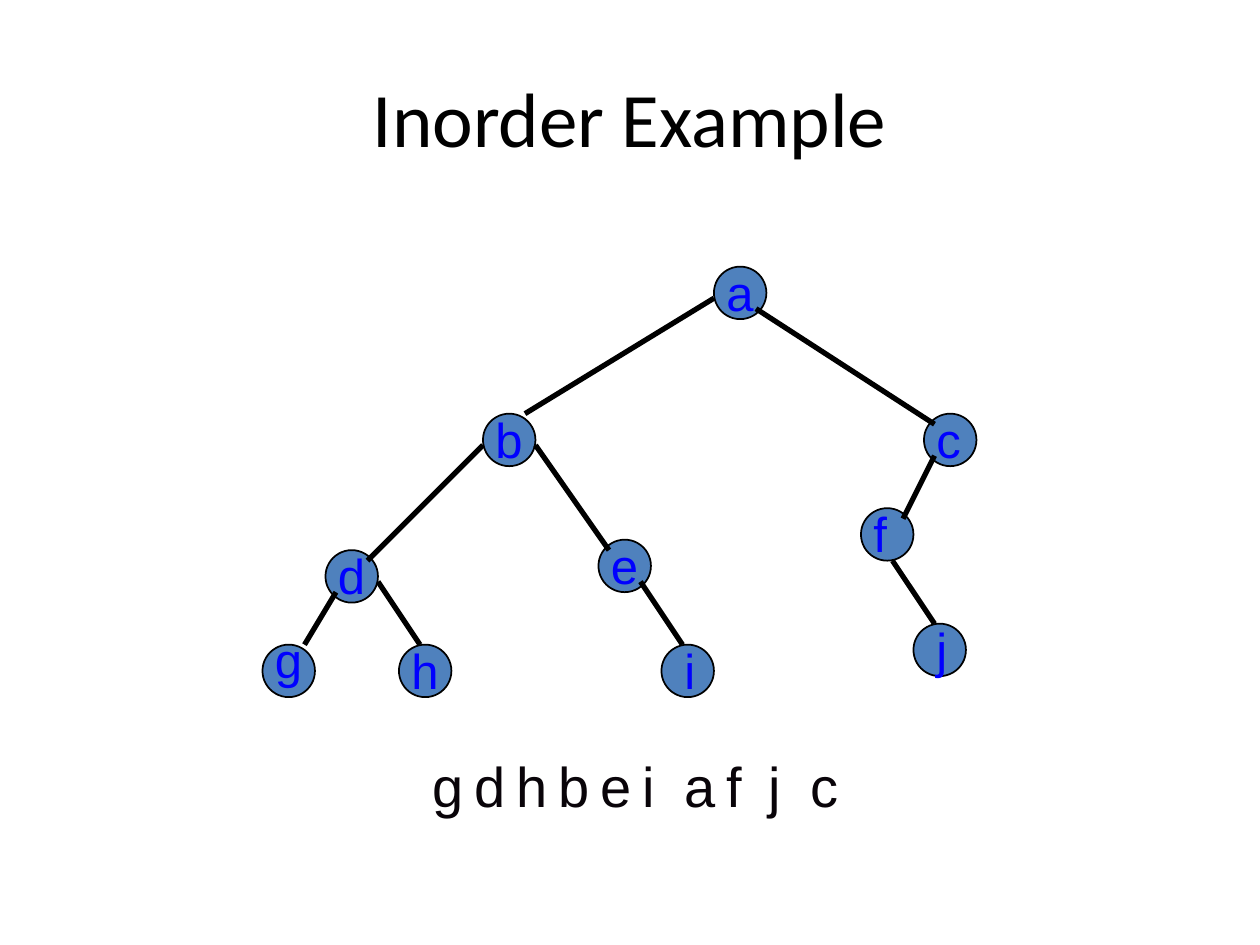
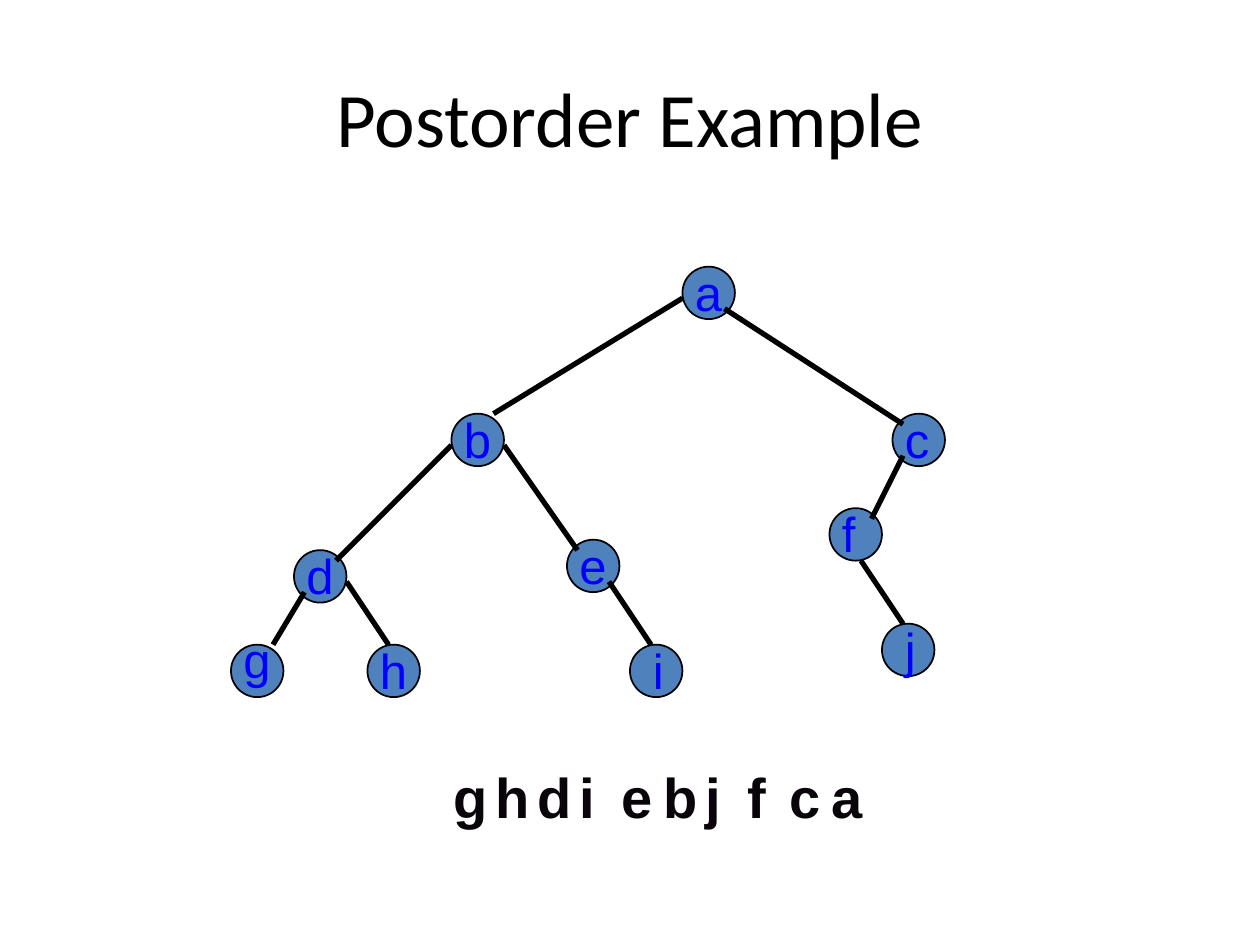
import pptx
import pptx.dml.color
import pptx.enum.shapes
import pptx.enum.text
import pptx.oxml
import pptx.oxml.ns
import pptx.util

COLUMNS, ROWS = 120, 90
SLIDE_WIDTH, SLIDE_HEIGHT = pptx.util.Inches(10), pptx.util.Inches(7.5)
TREE_TOP = 25.4
NODE_SIZE = 5
LETTER_STEP = 4

BLACK = "000000"
NODE_FILL = "4F81BD"
LABEL_COLOR = "0000FF"
LETTER_COLOR = "090409"

NODES = {
    "a": (43, 0), "b": (21, 14), "c": (63, 14), "d": (6, 27), "e": (32, 26),
    "f": (57, 23), "g": (0, 36), "h": (13, 36), "i": (38, 36), "j": (62, 34),
}
LABEL_SHIFTS = {"g": (0, -2), "i": (1, -1), "j": (1, -1)}
EDGES = [
    ("d", (1, 4), "g", (4, 0)),
    ("d", (5, 3), "h", (2, 0)),
    ("e", (4, 4), "i", (2, 0)),
    ("c", (1, 4), "f", (4, 1)),
    ("b", (0, 3), "d", (4, 1)),
    ("b", (5, 3), "e", (1, 1)),
    ("a", (0, 3), "b", (4, 0)),
    ("a", (4, 4), "c", (1, 1)),
    ("f", (3, 5), "j", (2, 0)),
]
TRAVERSALS = [
    {"title": "Inorder Example", "tree_left": 25, "order": "gdhbeiafjc",
     "order_at": (40, 71), "bold": False},
    {"title": "Postorder Example", "tree_left": 22, "order": "ghdiebjfca",
     "order_at": (42, 72), "bold": True},
]


def color(value):
    return pptx.dml.color.RGBColor.from_string(value)


def across(columns):
    return round(SLIDE_WIDTH * columns / COLUMNS)


def down(rows):
    return round(SLIDE_HEIGHT * rows / ROWS)


def box(left, top, width, height):
    return across(left), down(top), across(width), down(height)


def moved(point, shift):
    return point[0] + shift[0], point[1] + shift[1]


def add_text(shapes, text, place, size, font_color, font_name="Arial", bold=False):
    shape = shapes.add_textbox(*box(*place))
    frame = shape.text_frame
    frame.word_wrap = True
    run = frame.paragraphs[0].add_run()
    run.text = text
    run.font.name = font_name
    run.font.size = pptx.util.Pt(size)
    run.font.bold = bold
    run.font.color.rgb = color(font_color)
    return frame


def add_title(slide, text):
    frame = add_text(slide.shapes, text, (6, 3.6, 108, 15), 44, BLACK, "Calibri")
    frame.vertical_anchor = pptx.enum.text.MSO_ANCHOR.MIDDLE
    frame.paragraphs[0].alignment = pptx.enum.text.PP_ALIGN.CENTER


def add_letter(shapes, text, place, size, font_color, bold=False):
    frame = add_text(shapes, text, place, size, font_color, bold=bold)
    frame.auto_size = pptx.enum.text.MSO_AUTO_SIZE.SHAPE_TO_FIT_TEXT


def add_node(shapes, position):
    shape = shapes.add_shape(
        pptx.enum.shapes.MSO_SHAPE.OVAL, *box(*position, NODE_SIZE, NODE_SIZE))
    shape.shadow.inherit = False
    shape.fill.solid()
    shape.fill.fore_color.rgb = color(NODE_FILL)
    shape.line.color.rgb = color(BLACK)
    shape.line.width = pptx.util.Pt(1)


def add_edge(shapes, start, end):
    connector = shapes.add_connector(
        pptx.enum.shapes.MSO_CONNECTOR.STRAIGHT,
        across(start[0]), down(start[1]), across(end[0]), down(end[1]))
    connector.line.color.rgb = color(BLACK)
    connector.line.width = pptx.util.Pt(3)
    properties = connector._element.spPr
    properties.append(pptx.oxml.parse_xml(
        f"<a:effectLst {pptx.oxml.ns.nsdecls('a')}/>"))


def add_tree(slide, left):
    shapes = slide.shapes.add_group_shape().shapes
    positions = {name: moved(cell, (left, TREE_TOP)) for name, cell in NODES.items()}
    for position in positions.values():
        add_node(shapes, position)
    for parent, leaving, child, arriving in EDGES:
        add_edge(shapes, moved(positions[parent], leaving),
                 moved(positions[child], arriving))
    for name, position in positions.items():
        label_at = moved(position, LABEL_SHIFTS.get(name, (0, -1)))
        add_letter(shapes, name, (*label_at, 10, 6.84), 28, LABEL_COLOR)


def add_order(slide, letters, start, bold):
    for index, letter in enumerate(letters):
        place = (*moved(start, (index * LETTER_STEP, 0)), 5, 7.68)
        add_letter(slide.shapes, letter, place, 32, LETTER_COLOR, bold)


def main():
    presentation = pptx.Presentation()
    presentation.slide_width = SLIDE_WIDTH
    presentation.slide_height = SLIDE_HEIGHT
    for traversal in TRAVERSALS:
        slide = presentation.slides.add_slide(presentation.slide_layouts[6])
        add_title(slide, traversal["title"])
        add_tree(slide, traversal["tree_left"])
        add_order(slide, traversal["order"], traversal["order_at"], traversal["bold"])
    presentation.save("out.pptx")


if __name__ == "__main__":
    main()
